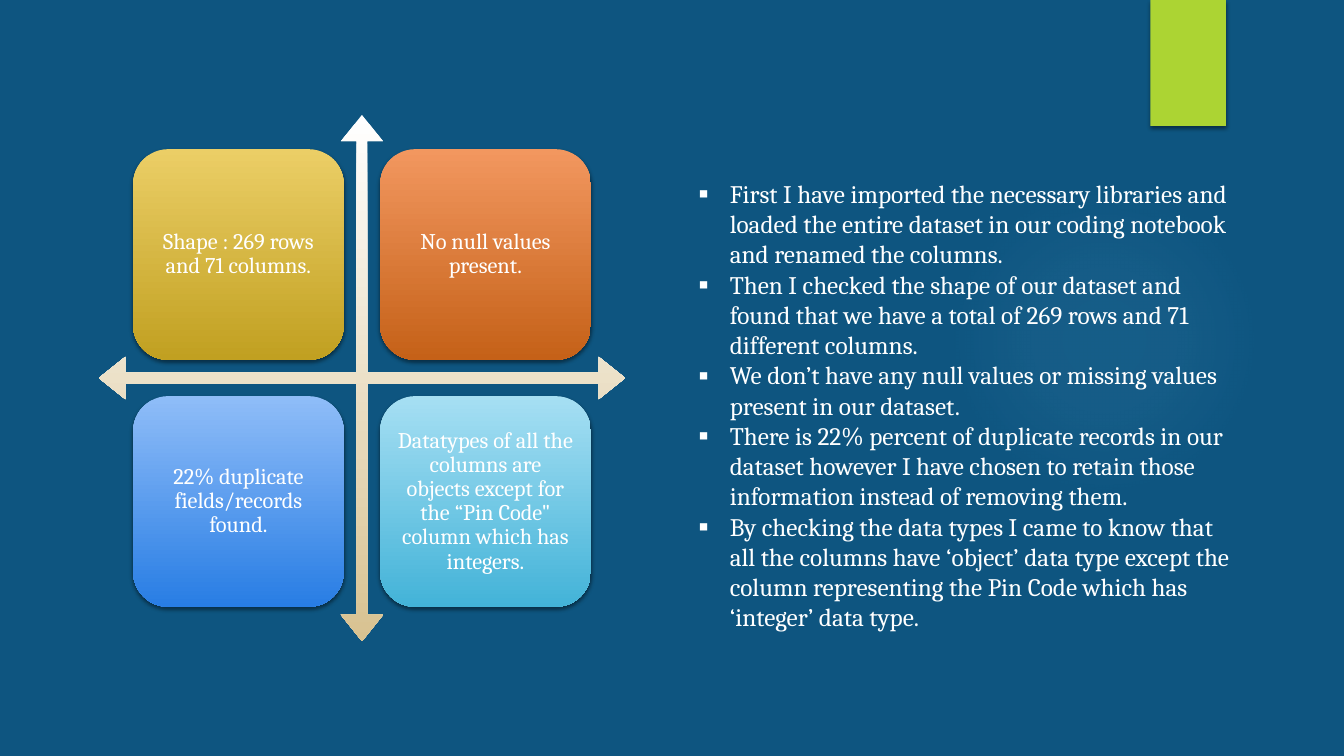
from lxml import etree
from pptx import Presentation
from pptx.dml.color import RGBColor
from pptx.enum.shapes import MSO_SHAPE
from pptx.enum.text import MSO_ANCHOR, MSO_AUTO_SIZE, PP_ALIGN
from pptx.oxml import parse_xml
from pptx.oxml.ns import nsdecls, qn
from pptx.util import Inches, Pt

OVAL, RECT = MSO_SHAPE.OVAL, MSO_SHAPE.RECTANGLE
ROUNDED, QUAD_ARROW = MSO_SHAPE.ROUNDED_RECTANGLE, MSO_SHAPE.QUAD_ARROW
MIDDLE, TOP = MSO_ANCHOR.MIDDLE, MSO_ANCHOR.TOP
CENTER, LEFT = PP_ALIGN.CENTER, PP_ALIGN.LEFT

prs = Presentation()
prs.slide_width, prs.slide_height = Inches(13.33), Inches(7.5)
slide = prs.slides.add_slide(prs.slide_layouts[6])
slide.background.fill.solid()
slide.background.fill.fore_color.rgb = RGBColor.from_string("0E5580")


def add_panel(preset, left, top, width, height, colors, shadow=False):
    panel = slide.shapes.add_shape(
        preset, Inches(left), Inches(top), Inches(width), Inches(height))
    panel.line.fill.background()
    panel.shadow.inherit = False
    if len(colors) == 1:
        panel.fill.solid()
        panel.fill.fore_color.rgb = RGBColor.from_string(colors[0])
    else:
        panel.fill.gradient()
        panel.fill.gradient_angle = 270
        for stop, color in zip(panel.fill.gradient_stops, colors):
            stop.color.rgb = RGBColor.from_string(color)
    if shadow:
        panel._element.spPr.find(qn("a:effectLst")).append(parse_xml(
            f'<a:outerShdw {nsdecls("a")} blurRad="{Pt(3)}" dist="{Pt(2)}" '
            'dir="5400000" rotWithShape="0"><a:srgbClr val="000000">'
            '<a:alpha val="45000"/></a:srgbClr></a:outerShdw>'))
    return panel


def write(frame, *texts, size, align=LEFT, anchor=TOP, spacing=1.0, bullet=None):
    frame.word_wrap = True
    frame.vertical_anchor = anchor
    for number, text in enumerate(texts):
        paragraph = frame.add_paragraph() if number else frame.paragraphs[0]
        paragraph.alignment = align
        paragraph.line_spacing = spacing
        run = paragraph.add_run()
        run.text = text
        run.font.name = "Cambria"
        run.font.size = Pt(size)
        run.font.color.rgb = RGBColor.from_string("FFFFFF")
        if bullet:
            properties = paragraph._p.get_or_add_pPr()
            properties.set("marL", str(Inches(0.31)))
            properties.set("indent", str(Inches(-0.31)))
            etree.SubElement(properties, qn("a:buFont")).set("typeface", "Cambria")
            etree.SubElement(properties, qn("a:buChar")).set("char", bullet)


glow = add_panel(OVAL, 9.41, 1.83, 3.08, 3.08, ["7AC4F0"])
glow_stops = "".join(
    f'<a:gs pos="{position}000"><a:srgbClr val="7AC4F0">'
    f'<a:alpha val="{alpha}000"/></a:srgbClr></a:gs>'
    for position, alpha in [(0, 7), (36, 6), (69, 0)])
glow_properties = glow._element.spPr
glow_properties.replace(glow_properties.find(qn("a:solidFill")), parse_xml(
    f'<a:gradFill {nsdecls("a")}><a:gsLst>{glow_stops}</a:gsLst>'
    '<a:path path="circle"><a:fillToRect l="50000" t="50000" r="50000" b="50000"/>'
    '</a:path></a:gradFill>'))

add_panel(RECT, 11.41, 0, 0.75, 1.25, ["ACD433"], shadow=True)

axes = add_panel(QUAD_ARROW, 0.98, 1.14, 5.22, 5.22, ["FFFFFF", "D8C291"])
for index, share in enumerate([0.02, 0.04, 0.05]):
    axes.adjustments[index] = share

FINDINGS = [
    ("Shape : 269 rows and 71 columns.", ["EBCE66", "C1A021"]),
    ("No null values present.", ["F2975F", "C56118"]),
    ("22% duplicate fields/records found.", ["8FBDF8", "287DE4"]),
    ('Datatypes of all the columns are objects except for the “Pin Code" '
     "column which has integers.", ["A6DFF3", "43B3D8"]),
]
CARD, PITCH = 2.09, 2.45
for index, (finding, colors) in enumerate(FINDINGS):
    row, column = divmod(index, 2)
    card = add_panel(ROUNDED, 1.32 + column * PITCH, 1.48 + row * PITCH,
                     CARD, CARD, colors, shadow=True)
    frame = card.text_frame
    frame.margin_left = frame.margin_right = Inches(0.07)
    frame.margin_top = frame.margin_bottom = Inches(0.07)
    write(frame, finding, size=16, align=CENTER, anchor=MIDDLE, spacing=0.9)

steps = slide.shapes.add_textbox(
    Inches(6.83), Inches(1.72), Inches(5.58), Inches(4.64)).text_frame
steps.auto_size = MSO_AUTO_SIZE.SHAPE_TO_FIT_TEXT
write(
    steps,
    "First I have imported the necessary libraries and loaded the entire dataset "
    "in our coding notebook and renamed the columns.",
    "Then I checked the shape of our dataset and found that we have a total of "
    "269 rows and 71 different columns.",
    "We don’t have any null values or missing values present in our dataset.",
    "There is 22% percent of duplicate records in our dataset however I have "
    "chosen to retain those information instead of removing them.",
    "By checking the data types I came to know that all the columns have ‘object’ "
    "data type except the column representing the Pin Code which has ‘integer’ "
    "data type.",
    size=18, bullet="▪")

prs.save("out.pptx")
